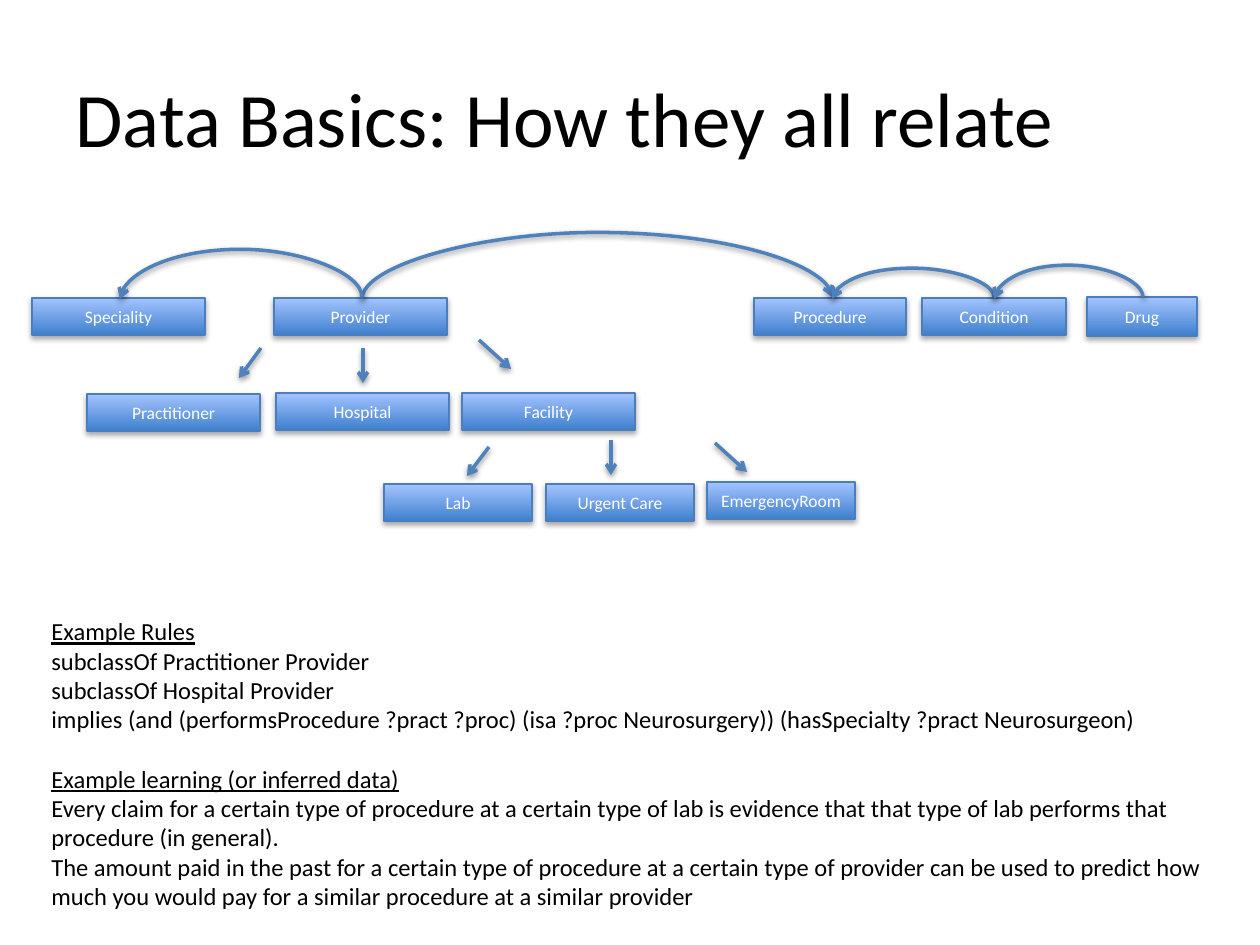
from dataclasses import dataclass

from lxml import etree
from pptx import Presentation
from pptx.dml.color import RGBColor
from pptx.enum.shapes import MSO_CONNECTOR, MSO_SHAPE
from pptx.enum.text import MSO_ANCHOR, PP_ALIGN
from pptx.oxml.ns import qn
from pptx.util import Emu, Pt

RECTANGLE = MSO_SHAPE.RECTANGLE
STRAIGHT, CURVE = MSO_CONNECTOR.STRAIGHT, MSO_CONNECTOR.CURVE
LEFT, CENTER = PP_ALIGN.LEFT, PP_ALIGN.CENTER
MIDDLE = MSO_ANCHOR.MIDDLE
TITLE_ONLY = 5


@dataclass(frozen=True)
class Theme:
    font: str = "Calibri"
    text: RGBColor = RGBColor(0, 0, 0)
    label: RGBColor = RGBColor(255, 255, 255)
    box_bottom: RGBColor = RGBColor(0x3F, 0x80, 0xCE)
    box_top: RGBColor = RGBColor(0xA4, 0xC4, 0xFF)
    box_line: RGBColor = RGBColor(0x4B, 0x7E, 0xBC)
    arrow: RGBColor = RGBColor(0x4F, 0x81, 0xBD)
    title_size: Pt = Pt(44)
    example_size: Pt = Pt(14)
    label_size: Pt = Pt(10)
    box_width: Pt = Pt(0.75)
    arrow_width: Pt = Pt(2)


theme = Theme()


def px(*lengths):
    """Turn lengths at 126 px to the inch into EMU."""
    return [Emu(round(n * 914400 / 126)) for n in lengths]


def add_arrow(kind, ends, arrow_end):
    """Add a connector with an arrowhead; arrow_end is headEnd or tailEnd."""
    connector = slide.shapes.add_connector(kind, *px(*ends))
    connector.line.color.rgb = theme.arrow
    connector.line.width = theme.arrow_width
    outline = connector._element.spPr.find(qn("a:ln"))
    etree.SubElement(outline, qn("a:" + arrow_end)).set("type", "arrow")
    return connector


prs = Presentation()
prs.slide_width, prs.slide_height = px(1260, 945)
slide = prs.slides.add_slide(prs.slide_layouts[TITLE_ONLY])

# Title
title = slide.shapes.title
title.left, title.top, title.width, title.height = px(63, 38, 1134, 157)
title.text_frame.vertical_anchor = MIDDLE
heading = title.text_frame.paragraphs[0]
heading.alignment = LEFT
run = heading.add_run()
run.text = "Data Basics: How they all relate"
run.font.name, run.font.size = theme.font, theme.title_size
run.font.color.rgb = theme.text

# Concepts: label, left, top, width, height
concepts = [
    ("Provider", 274, 298, 173, 37),
    ("Speciality", 32, 298, 173, 37),
    ("Facility", 462, 393, 173, 37),
    ("Hospital", 276, 393, 173, 37),
    ("Practitioner", 87, 394, 173, 37),
    ("Drug", 1087, 297, 110, 39),
    ("Condition", 922, 298, 144, 37),
    ("Procedure", 754, 298, 152, 37),
    ("EmergencyRoom", 707, 482, 148, 37),
    ("Urgent Care", 546, 484, 148, 37),
    ("Lab", 384, 484, 148, 37),
]
# The theme gives these boxes and arrows their soft shadow
for label, *place in concepts:
    concept = slide.shapes.add_shape(RECTANGLE, *px(*place))
    concept.fill.gradient()
    concept.fill.gradient_angle = 90
    bottom_stop, top_stop = concept.fill.gradient_stops
    bottom_stop.color.rgb, bottom_stop.position = theme.box_bottom, 0
    top_stop.color.rgb, top_stop.position = theme.box_top, 1
    concept.line.color.rgb = theme.box_line
    concept.line.width = theme.box_width
    frame = concept.text_frame
    frame.word_wrap = False
    frame.vertical_anchor = MIDDLE
    frame.paragraphs[0].alignment = CENTER
    run = frame.paragraphs[0].add_run()
    run.text = label
    run.font.name, run.font.size = theme.font, theme.label_size
    run.font.color.rgb = theme.label

# Subclass arrows
subclass_arrows = [
    (261, 348, 239, 378),
    (363, 348, 363, 383),
    (479, 340, 511, 369),
    (611, 440, 611, 475),
    (489, 447, 467, 476),
    (715, 443, 747, 472),
]
for ends in subclass_arrows:
    add_arrow(STRAIGHT, ends, "tailEnd")

# Relation arcs: left end, right end, peak, end with the arrowhead
arc_base, arc_depth = 299, 2
relations = [
    (362, 832, 232, "tailEnd"),
    (832, 994, 268, "headEnd"),
    (994, 1143, 265, "headEnd"),
    (120, 362, 249, "headEnd"),
]
for start, end, peak, arrow_end in relations:
    # A thin upright curve turned a quarter, bulging by its adjustment
    middle_x, half_span = (start + end) / 2, (end - start) / 2
    middle_y = arc_base - arc_depth / 2
    ends = (middle_x + arc_depth / 2, middle_y + half_span,
            middle_x - arc_depth / 2, middle_y - half_span)
    arc = add_arrow(CURVE, ends, arrow_end)
    properties = arc._element.spPr
    properties.find(qn("a:xfrm")).set("rot", str(90 * 60000))
    geometry = properties.find(qn("a:prstGeom"))
    adjustments = geometry.find(qn("a:avLst"))
    if adjustments is None:
        adjustments = etree.SubElement(geometry, qn("a:avLst"))
    bulge = round((arc_base - peak) / arc_depth * 100000)
    guide = etree.SubElement(adjustments, qn("a:gd"))
    guide.set("name", "adj1")
    guide.set("fmla", f"val {bulge}")

# Example rules and learning
sections = [
    ("Example Rules", [
        "subclassOf Practitioner Provider",
        "subclassOf Hospital Provider",
        "implies (and (performsProcedure ?pract ?proc) (isa ?proc Neurosurgery)) "
        "(hasSpecialty ?pract Neurosurgeon)",
    ]),
    ("Example learning (or inferred data)", [
        "Every claim for a certain type of procedure at a certain type of lab is "
        "evidence that that type of lab performs that procedure (in general).",
        "The amount paid in the past for a certain type of procedure at a certain "
        "type of provider can be used to predict how much you would pay for a "
        "similar procedure at a similar provider",
    ]),
]
examples = slide.shapes.add_textbox(*px(39, 610, 1182, 339)).text_frame
examples.word_wrap = True
paragraph = examples.paragraphs[0]
for section_number, (section, statements) in enumerate(sections):
    for line_number, line in enumerate([section, *statements]):
        if section_number or line_number:
            paragraph = examples.add_paragraph()
        if section_number and line_number == 0:
            paragraph.space_before = Pt(17)
        run = paragraph.add_run()
        run.text = line
        run.font.name, run.font.size = theme.font, theme.example_size
        run.font.color.rgb = theme.text
        run.font.underline = line_number == 0

prs.save("out.pptx")
